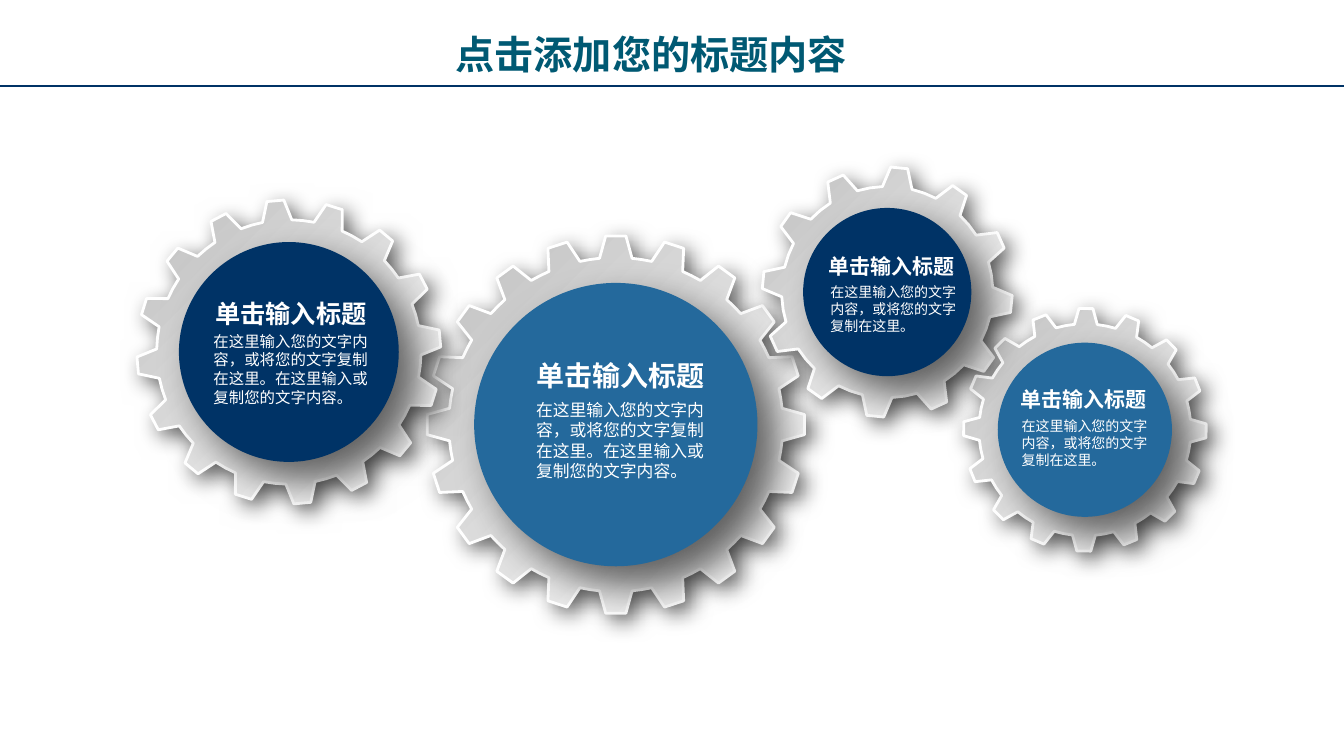
from dataclasses import dataclass
from math import cos, radians, sin

from lxml.etree import SubElement as Sub
from pptx import Presentation
from pptx.dml.color import RGBColor as Rgb
from pptx.dml.fill import FillFormat as Fill
from pptx.enum.shapes import MSO_CONNECTOR as Link, MSO_SHAPE as Kind
from pptx.enum.text import MSO_AUTO_SIZE as Fit, PP_ALIGN as Align
from pptx.oxml.ns import qn
from pptx.oxml.xmlchemy import BaseOxmlElement as Node
from pptx.shapes.base import BaseShape as Shape
from pptx.shapes.shapetree import SlideShapes as Shapes
from pptx.util import Cm, Pt

FONT = "Noto Sans CJK SC"
NAVY, BLUE, TEAL, WHITE = "003366", "24699C", "005973", "FFFFFF"
HEAD = "单击输入标题"
SHORT = "在这里输入您的文字内容，或将您的文字复制在这里。"
LONG = SHORT + "在这里输入或复制您的文字内容。"


@dataclass(frozen=True)
class Label:
    text: str
    left: float
    top: float
    width: float
    height: float
    size: int
    bold: bool = False
    tint: str = WHITE
    align: Align = Align.LEFT


@dataclass(frozen=True)
class Gear:
    x: float
    y: float
    tip: float
    root: float
    teeth: int
    phase: float
    crest: float
    base: float
    disk: float
    tint: str
    head: Label
    body: Label


def title(left: float, top: float, width: float, height: float, size: int) -> Label:
    return Label(HEAD, left, top, width, height, size, True, WHITE, Align.CENTER)


GEARS = [
    Gear(15.52, 10.7, 4.76, 4.21, 20, 0, 3.06, 5.6, 7.14, BLUE,
         title(13.13, 8.89, 5, 1.12, 20), Label(LONG, 13.26, 9.93, 5.05, 2.31, 12)),
    Gear(7.28, 8.87, 3.83, 3.33, 16, -5.1, 3.2, 6.4, 5.54, NAVY,
         title(4.83, 7.39, 5, 1.02, 18), Label(LONG, 5.13, 8.23, 4.75, 2.13, 11)),
    Gear(22.36, 7.36, 3.15, 2.66, 12, 5.5, 3.9, 8.1, 4.24, NAVY,
         title(20.29, 6.25, 4.37, 0.89, 15), Label(SHORT, 20.68, 7.01, 3.91, 1.55, 10)),
    Gear(27.34, 10.83, 3.06, 2.67, 16, 0.5, 3.3, 6.2, 4.39, BLUE,
         title(25.12, 9.6, 4.37, 0.89, 15), Label(SHORT, 25.5, 10.39, 3.91, 1.55, 10)),
]


def tone(code: str) -> Rgb:
    return Rgb.from_string(code)


def blend(fill: Fill, node: Node, first: str, last: str) -> None:
    fill.gradient()
    for stop, code in zip(fill.gradient_stops, (first, last)):
        stop.color.rgb = tone(code)
    grad = node.find(qn("a:gradFill"))
    for old in list(grad)[1:]:
        grad.remove(old)
    Sub(grad, qn("a:lin"), ang="13500000", scaled="0")


def shade(shape: Shape, blur: int, dist: int) -> None:
    shape.shadow.inherit = False
    glow = Sub(shape._element.spPr.find(qn("a:effectLst")), qn("a:outerShdw"),
               blurRad=str(Pt(blur)), dist=str(Pt(dist)), dir="2700000",
               algn="tl", rotWithShape="0")
    ink = Sub(glow, qn("a:srgbClr"), val="000000")
    Sub(ink, qn("a:alpha"), val="60000")


def rim(gear: Gear) -> list[tuple[int, int]]:
    step = 360 / gear.teeth
    tooth = [(-gear.base, gear.root), (-gear.crest, gear.tip),
             (gear.crest, gear.tip), (gear.base, gear.root), (step / 2, gear.root)]
    spots = []
    for num in range(gear.teeth):
        for turn, reach in tooth:
            angle = radians(gear.phase + num * step + turn)
            spots.append((Cm(gear.x + reach * sin(angle)),
                          Cm(gear.y - reach * cos(angle))))
    return spots


def cog(shapes: Shapes, gear: Gear) -> None:
    spots = rim(gear)
    form = shapes.build_freeform(*spots[0], scale=1.0)
    form.add_line_segments(spots[1:], close=True)
    shape = form.convert_to_shape()
    node = shape._element.spPr
    blend(shape.fill, node, WHITE, "BFBFBF")
    shape.line.width = Pt(2)
    blend(shape.line.fill, node.find(qn("a:ln")), WHITE, "D9D9D9")
    shade(shape, 16, 6)


def disk(shapes: Shapes, gear: Gear) -> None:
    half = gear.disk / 2
    shape = shapes.add_shape(Kind.OVAL, Cm(gear.x - half), Cm(gear.y - half),
                             Cm(gear.disk), Cm(gear.disk))
    shape.fill.solid()
    shape.fill.fore_color.rgb = tone(gear.tint)
    shape.line.fill.background()
    shade(shape, 30, 20)


def write(shapes: Shapes, label: Label) -> None:
    box = shapes.add_textbox(Cm(label.left), Cm(label.top),
                             Cm(label.width), Cm(label.height))
    frame = box.text_frame
    frame.text = label.text
    frame.word_wrap = True
    frame.auto_size = Fit.SHAPE_TO_FIT_TEXT
    para = frame.paragraphs[0]
    para.alignment = label.align
    para.line_spacing = Pt(label.size * 1.22)
    font = para.runs[0].font
    font.name = FONT
    font.size = Pt(label.size)
    font.bold = label.bold
    font.color.rgb = tone(label.tint)
    Sub(font._element, qn("a:ea"), typeface=FONT)


def rule(shapes: Shapes, top: float, width: float) -> None:
    line = shapes.add_connector(Link.STRAIGHT, 0, Cm(top), Cm(width), Cm(top))
    line.line.color.rgb = tone(NAVY)
    line.line.width = Pt(1.5)
    Sub(line._element.spPr, qn("a:effectLst"))


def main() -> None:
    deck = Presentation()
    deck.slide_width, deck.slide_height = Cm(33.87), Cm(19.05)
    shapes = deck.slides.add_slide(deck.slide_layouts[6]).shapes
    rule(shapes, 2.16, 33.87)
    write(shapes, Label("点击添加您的标题内容", 11.23, 0.61, 11.43, 1.45, 28, True, TEAL))
    for gear in GEARS:
        cog(shapes, gear)
    for gear in GEARS:
        disk(shapes, gear)
    for gear in GEARS:
        write(shapes, gear.body)
        write(shapes, gear.head)
    deck.save("out.pptx")


if __name__ == "__main__":
    main()
